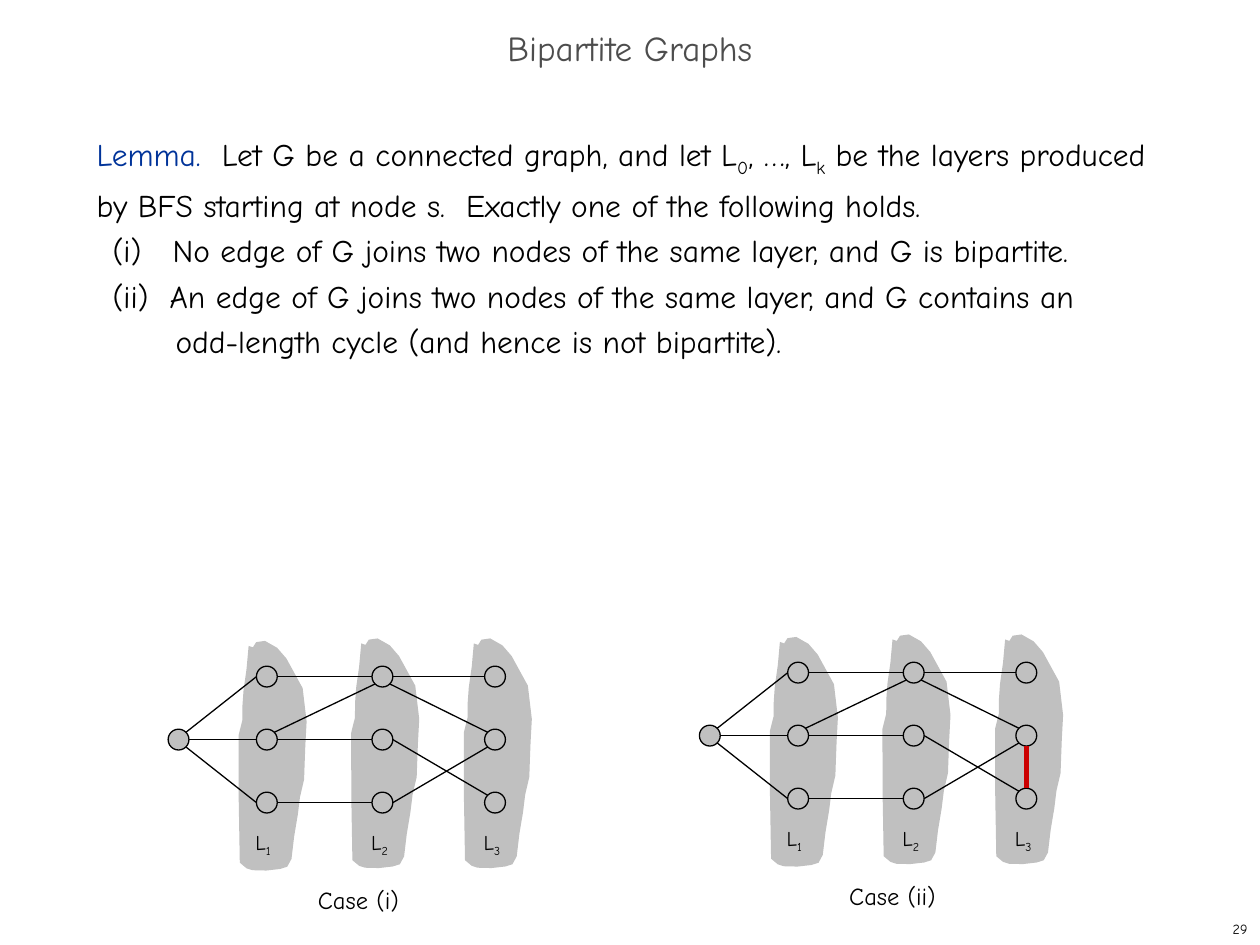
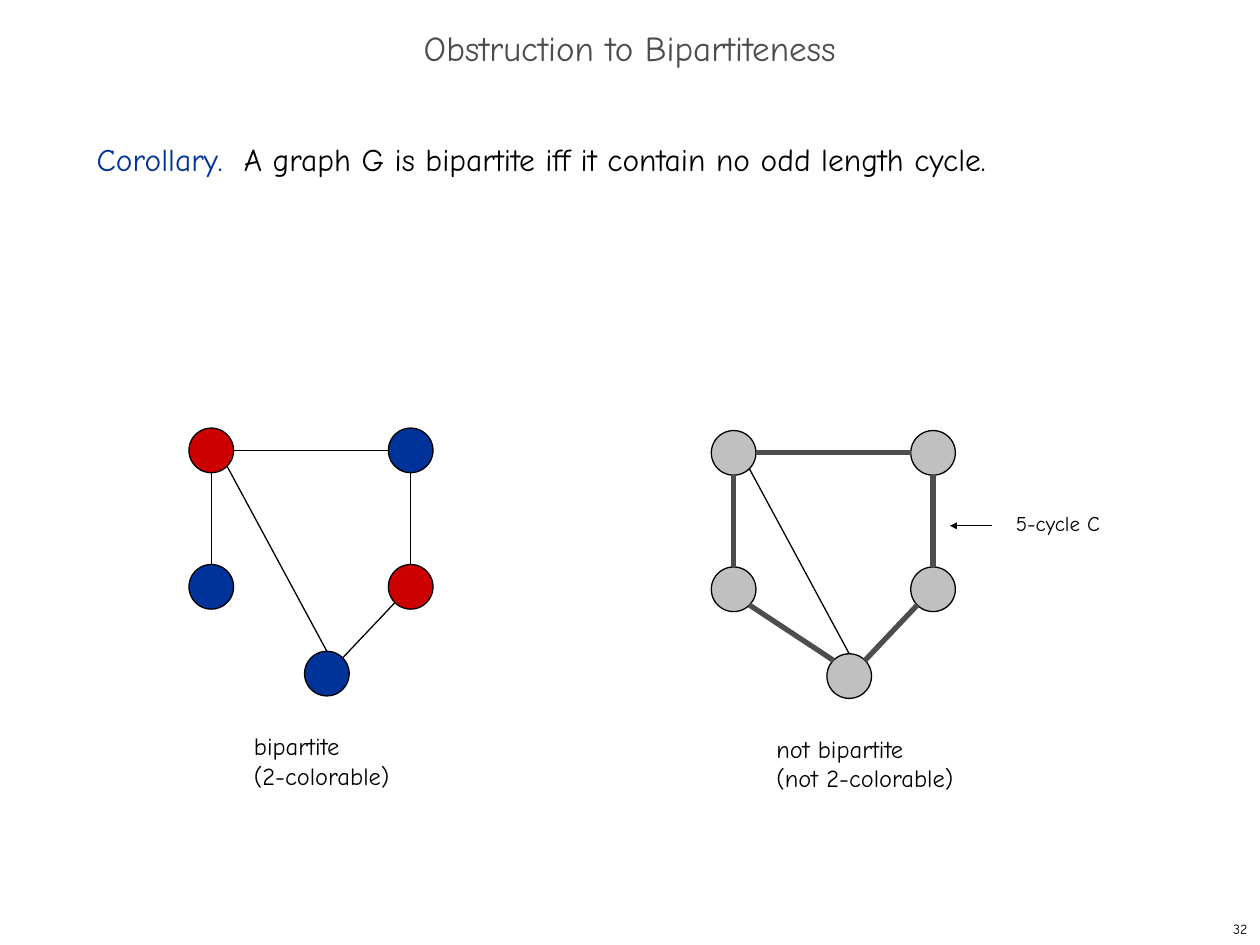
from lxml import etree
from pptx import Presentation
from pptx.dml.color import RGBColor
from pptx.enum.shapes import MSO_CONNECTOR, MSO_SHAPE
from pptx.enum.text import MSO_ANCHOR, PP_ALIGN
from pptx.oxml.ns import qn
from pptx.util import Cm, Pt

STRAIGHT = MSO_CONNECTOR.STRAIGHT
OVAL = MSO_SHAPE.OVAL
MIDDLE = MSO_ANCHOR.MIDDLE
TOP = MSO_ANCHOR.TOP
LEFT = PP_ALIGN.LEFT
CENTER = PP_ALIGN.CENTER
RIGHT = PP_ALIGN.RIGHT

FONT = "Comic Neue"
BLACK = RGBColor(0x00, 0x00, 0x00)
GRAY = RGBColor(0xC0, 0xC0, 0xC0)
DARK_GRAY = RGBColor(0x4D, 0x4D, 0x4D)
BLUE = RGBColor(0x00, 0x33, 0x99)
RED = RGBColor(0xCC, 0x00, 0x00)

THIN = 0.75
THICK = 3
BODY_SIZE = 18
CAPTION_SIZE = 14
LABEL_SIZE = 12
BODY_LINE = 26
ITEM_START = 0.32

SITES = {
    "top": (0, -0.5), "bottom": (0, 0.5), "left": (-0.5, 0), "right": (0.5, 0),
    "top left": (-0.35, -0.35), "top right": (0.35, -0.35),
    "bottom left": (-0.35, 0.35), "bottom right": (0.35, 0.35),
}

LAYER_NODE = 0.42
LAYER_COLUMNS = (0.21, 1.99, 4.32, 6.59)
LAYER_ROWS = [0.77 + 1.27 * row for row in range(3)]
LAYER_NODES = {
    (column, row): (LAYER_COLUMNS[column], LAYER_ROWS[row])
    for column, rows in enumerate(((1,), range(3), range(3), range(3)))
    for row in rows
}
LAYER_EDGES = [((1, row), "right", (2, row), "left") for row in range(3)] + [
    ((0, 1), "top right", (1, 0), "left"),
    ((0, 1), "right", (1, 1), "left"),
    ((0, 1), "bottom right", (1, 2), "left"),
    ((1, 1), "top right", (2, 0), "bottom left"),
    ((2, 0), "right", (3, 0), "left"),
    ((2, 0), "bottom right", (3, 1), "top left"),
    ((2, 1), "right", (3, 2), "top left"),
    ((2, 2), "right", (3, 1), "bottom left"),
]

BLOB_UNIT = 0.0254
BLOB_STEPS = 2
BLOB_START = (8, 4)
BLOB_CURVES = (
    ((7, 19), (6, 26), (4, 39)), ((3, 47), (3, 55), (3, 63)),
    ((2, 67), (0, 75), (0, 75)), ((0, 109), (0, 143), (1, 176)),
    ((2, 180), (11, 182), (11, 182)), ((18, 182), (26, 183), (33, 181)),
    ((38, 180), (40, 180), (42, 173)), ((45, 161), (43, 149), (47, 138)),
    ((48, 129), (49, 119), (52, 110)), ((52, 101), (53, 92), (53, 83)),
    ((53, 77), (54, 70), (54, 64)), ((54, 55), (51, 19), (38, 14)),
    ((34, 7), (28, 3), (21, 0)), ((19, 1), (16, 0), (14, 1)),
    ((7, 5), (16, 7), (8, 4)),
)

CYCLE_NODE = 0.9
CYCLE_NODES = {
    "upper left": (0.45, 0.45), "upper right": (4.47, 0.45),
    "lower left": (0.45, 3.2), "lower right": (4.47, 3.2),
    "base": (2.78, 4.95),
}
CYCLE_EDGES = (
    ("upper left", "right", "upper right", "left"),
    ("lower right", "top", "upper right", "bottom"),
    ("lower left", "top", "upper left", "bottom"),
    ("base", "top right", "lower right", "bottom left"),
)
CHORD = ("base", "top", "upper left", "bottom right")
CLOSING_EDGE = ("lower left", "bottom right", "base", "top left")
TWO_COLORING = {
    "upper left": RED, "upper right": BLUE,
    "lower left": BLUE, "lower right": RED, "base": BLUE,
}


def style_run(run, size, color, subscript=False):
    run.font.name = FONT
    run.font.size = Pt(size)
    run.font.color.rgb = color
    if subscript:
        run.font._element.set("baseline", "-25000")


def add_runs(paragraph, size, parts):
    for text, color, subscript in parts:
        run = paragraph.add_run()
        run.text = text
        style_run(run, size, color, subscript)


def add_text_box(slide, left, top, width, height, wrap=False, anchor=TOP):
    shape = slide.shapes.add_textbox(Cm(left), Cm(top), Cm(width), Cm(height))
    shape.text_frame.word_wrap = wrap
    shape.text_frame.vertical_anchor = anchor
    return shape.text_frame


def add_label(slide, box, text, size, color=BLACK, align=LEFT, wrap=False, anchor=TOP):
    text_frame = add_text_box(slide, *box, wrap, anchor)
    paragraph = text_frame.paragraphs[0]
    paragraph.text = text
    paragraph.alignment = align
    for run in paragraph.runs:
        style_run(run, size, color)
    return paragraph


def add_line(slide, start, end, color=BLACK, width=THIN, arrow=False):
    connector = slide.shapes.add_connector(STRAIGHT, *map(Cm, start + end))
    connector.line.color.rgb = color
    connector.line.width = Pt(width)
    properties = connector._element.spPr
    if arrow:
        tail = etree.SubElement(properties.find(qn("a:ln")), qn("a:tailEnd"))
        for name, value in (("type", "triangle"), ("w", "sm"), ("len", "sm")):
            tail.set(name, value)
    etree.SubElement(properties, qn("a:effectLst"))


def add_node(slide, left, top, center, size, color):
    x, y = center
    shape = slide.shapes.add_shape(
        OVAL, Cm(left + x - size / 2), Cm(top + y - size / 2), Cm(size), Cm(size))
    shape.shadow.inherit = False
    shape.fill.solid()
    shape.fill.fore_color.rgb = color
    shape.line.color.rgb = BLACK
    shape.line.width = Pt(THIN)


def add_edge(slide, left, top, nodes, size, edge, color=BLACK, width=THIN):
    def site_point(node, site):
        x, y = nodes[node]
        dx, dy = SITES[site]
        return left + x + dx * size, top + y + dy * size

    add_line(slide, site_point(*edge[:2]), site_point(*edge[2:]), color, width)


def curve_points(start, curves):
    for first, second, end in curves:
        for step in range(1, BLOB_STEPS + 1):
            t = step / BLOB_STEPS
            yield tuple(
                (1 - t) ** 3 * a + 3 * (1 - t) ** 2 * t * b + 3 * (1 - t) * t ** 2 * c + t ** 3 * d
                for a, b, c, d in zip(start, first, second, end))
        start = end


def add_blob(slide, left, top):
    def place(point):
        return Cm(left + point[0] * BLOB_UNIT), Cm(top + point[1] * BLOB_UNIT)

    builder = slide.shapes.build_freeform(*place(BLOB_START))
    builder.add_line_segments(
        [place(point) for point in curve_points(BLOB_START, BLOB_CURVES)], close=True)
    shape = builder.convert_to_shape()
    shape.shadow.inherit = False
    shape.fill.solid()
    shape.fill.fore_color.rgb = GRAY
    shape.line.fill.background()


def add_layered_graph(slide, left, top, caption, caption_width, odd_edge=False):
    for layer in range(3):
        add_blob(slide, left + 1.42 + 2.27 * layer, top + (0.05 if layer == 0 else 0))
    for center in LAYER_NODES.values():
        add_node(slide, left, top, center, LAYER_NODE, GRAY)
    for edge in LAYER_EDGES:
        add_edge(slide, left, top, LAYER_NODES, LAYER_NODE, edge)
    for layer, column in enumerate(LAYER_COLUMNS[1:], 1):
        text_frame = add_text_box(slide, left + column - 0.48, top + 3.72, 0.9, 0.76)
        add_runs(text_frame.paragraphs[0], LABEL_SIZE,
                 (("L", BLACK, False), (str(layer), BLACK, True)))
    add_label(slide, (left + 2.77, top + 4.85, caption_width, 0.84), caption, CAPTION_SIZE)
    if odd_edge:
        add_edge(slide, left, top, LAYER_NODES, LAYER_NODE,
                 ((3, 2), "top", (3, 1), "bottom"), RED, THICK)


def add_cycle_graph(slide, left, top, caption, caption_width, colors, edge_color, edge_width):
    for name, center in CYCLE_NODES.items():
        add_node(slide, left, top, center, CYCLE_NODE, colors.get(name, GRAY))
    for edge in CYCLE_EDGES:
        add_edge(slide, left, top, CYCLE_NODES, CYCLE_NODE, edge, edge_color, edge_width)
    add_edge(slide, left, top, CYCLE_NODES, CYCLE_NODE, CHORD)
    add_label(slide, (left + 1.06, top + 5.99, caption_width, 1.45), caption, CAPTION_SIZE)


def add_odd_cycle(slide, left, top):
    add_cycle_graph(slide, left, top, "not bipartite\v(not 2-colorable)", 4.37,
                    {}, DARK_GRAY, THICK)
    add_edge(slide, left, top, CYCLE_NODES, CYCLE_NODE, CLOSING_EDGE, DARK_GRAY, THICK)
    add_label(slide, (left + 5.89, top + 1.49, 2.34, 0.76), "5-cycle C", LABEL_SIZE)
    add_line(slide, (left + 5.66, top + 1.92), (left + 4.81, top + 1.92), arrow=True)


def add_body(slide, statement, items=()):
    text_frame = add_text_box(slide, 1.7, 2.55, 21.8, 15.03, wrap=True)
    add_runs(text_frame.paragraphs[0], BODY_SIZE, statement)
    for text, margin in items:
        paragraph = text_frame.add_paragraph()
        paragraph.text = text
        properties = paragraph._p.get_or_add_pPr()
        properties.set("marL", str(Cm(margin)))
        properties.set("indent", str(Cm(ITEM_START - margin)))
        for run in paragraph.runs:
            style_run(run, BODY_SIZE, BLACK)
    for paragraph in text_frame.paragraphs:
        paragraph.line_spacing = Pt(BODY_LINE)


def add_titled_slide(presentation, title, number):
    slide = presentation.slides.add_slide(presentation.slide_layouts[6])
    add_label(slide, (20.12, 18.42, 5.28, 0.63), number, 8, align=RIGHT, anchor=MIDDLE)
    heading = add_label(slide, (0, 0.43, 25.4, 1.27), title, 20, DARK_GRAY,
                        CENTER, True, MIDDLE)
    heading.line_spacing = 0.7
    return slide


def build_lemma_slide(presentation):
    slide = add_titled_slide(presentation, "Bipartite Graphs", "29")
    statement = (
        ("Lemma.  ", BLUE, False),
        ("Let G be a connected graph, and let L", BLACK, False),
        ("0", BLACK, True),
        (", …, L", BLACK, False),
        ("k", BLACK, True),
        (" be the layers produced by BFS starting at node s.  "
         "Exactly one of the following holds.", BLACK, False),
    )
    add_body(slide, statement, (
        ("(i)\tNo edge of G joins two nodes of the same layer, and G is bipartite.", 1.53),
        ("(ii)  An edge of G joins two nodes of the same layer, and G contains an\v"
         "odd-length cycle (and hence is not bipartite).", 1.59),
    ))
    add_layered_graph(slide, 3.39, 12.87, "Case (i)", 2.24)
    add_layered_graph(slide, 14.1, 12.79, "Case (ii)", 2.36, odd_edge=True)


def build_corollary_slide(presentation):
    slide = add_titled_slide(presentation, "Obstruction to Bipartiteness", "32")
    add_body(slide, (
        ("Corollary.  ", BLUE, False),
        ("A graph G is bipartite iff it contain no odd length cycle.", BLACK, False),
    ))
    add_odd_cycle(slide, 14.34, 8.68)
    add_cycle_graph(slide, 3.81, 8.63, "bipartite\v(2-colorable)", 3.48,
                    TWO_COLORING, BLACK, THIN)


def main():
    presentation = Presentation()
    presentation.slide_width = Cm(25.4)
    presentation.slide_height = Cm(19.05)
    build_lemma_slide(presentation)
    build_corollary_slide(presentation)
    presentation.save("out.pptx")


if __name__ == "__main__":
    main()
